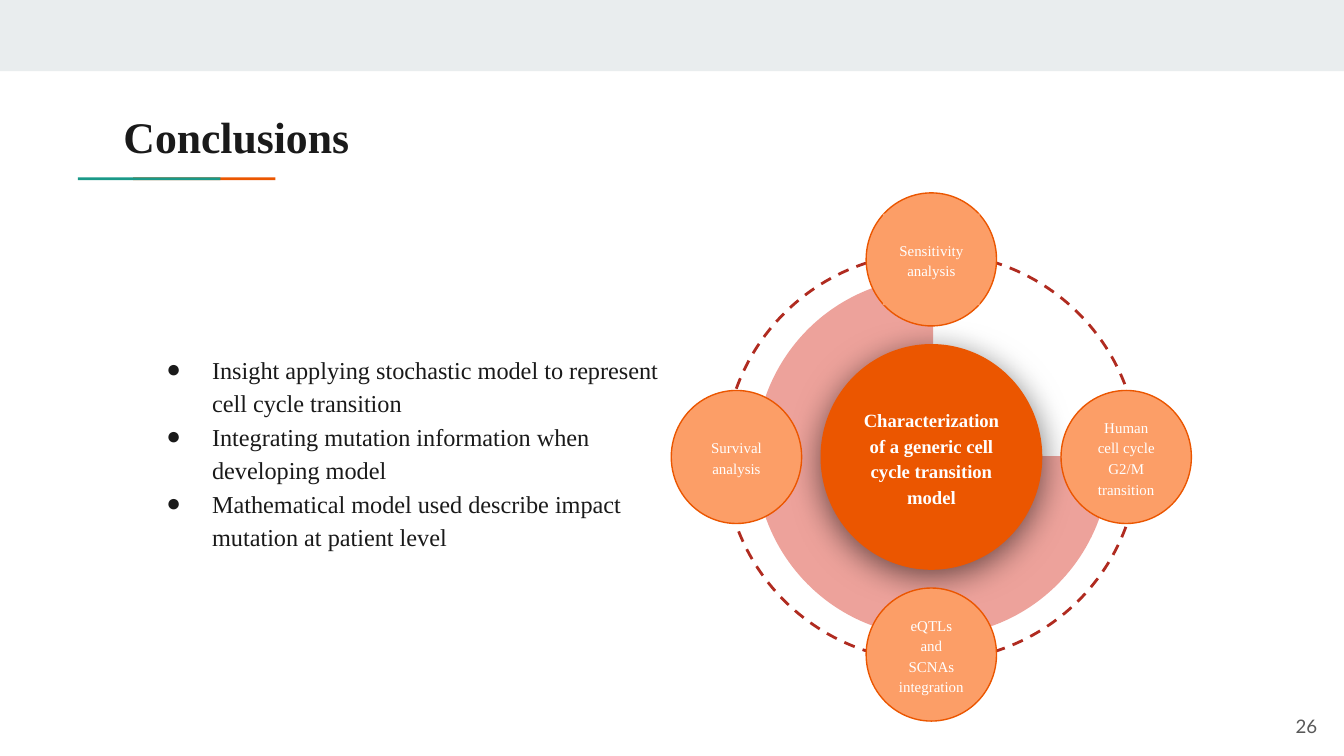
from lxml import etree
from pptx import Presentation
from pptx.dml.color import RGBColor
from pptx.enum.dml import MSO_LINE
from pptx.enum.shapes import MSO_SHAPE
from pptx.enum.text import MSO_ANCHOR, PP_ALIGN
from pptx.oxml import parse_xml
from pptx.oxml.ns import nsdecls, qn
from pptx.util import Inches, Pt

SERIF = "Times New Roman"
INK, WHITE, TEAL, ORANGE = "1A1A1A", "FFFFFF", "1A9988", "EB5600"
PEACH, PINK, RED, BAND = "FC9E67", "EDA29B", "B02B20", "E9EDEE"

# Content
TITLE = "Conclusions"
PAGE = "26"
BULLETS = [
    "Insight applying stochastic model to represent cell cycle transition",
    "Integrating mutation information when developing model",
    "Mathematical model used describe impact mutation at patient level",
]
HUB = "Characterization of a generic cell cycle transition model"
# label, horizontal and vertical direction from the hub, label width
NODES = [
    ("Sensitivity analysis", 0, -1, 0.72),
    ("eQTLs and SCNAs integration", 0, 1, 0.69),
    ("Survival analysis", -1, 0, 0.69),
    ("Human cell cycle G2/M transition", 1, 0, 0.69),
]
CX, CY = 6.93, 3.4          # centre of the diagram
REACH_X, REACH_Y = 1.45, 1.47

# 16:9 page
prs = Presentation()
prs.slide_width = Inches(10)
prs.slide_height = Inches(10 * 9 / 16)
s = prs.slides.add_slide(prs.slide_layouts[6])


def rgb(value):
    return RGBColor.from_string(value)


def shape(kind, x, y, w, h, fill=None, line=None, weight=0.75):
    sp = s.shapes.add_shape(kind, Inches(x), Inches(y), Inches(w), Inches(h))
    sp.shadow.inherit = False
    if fill:
        sp.fill.solid()
        sp.fill.fore_color.rgb = rgb(fill)
    else:
        sp.fill.background()
    if line:
        sp.line.color.rgb = rgb(line)
        sp.line.width = Pt(weight)
    else:
        sp.line.fill.background()
    return sp


def centred(kind, cx, cy, w, h, *style):
    return shape(kind, cx - w / 2, cy - h / 2, w, h, *style)


def write(sp, lines, size, color=INK, font=SERIF, bold=False, align=PP_ALIGN.LEFT,
          anchor=MSO_ANCHOR.TOP, spacing=None, bullet=False):
    tf = sp.text_frame
    tf.word_wrap = True
    tf.vertical_anchor = anchor
    tf.margin_left = tf.margin_right = tf.margin_top = tf.margin_bottom = Inches(0.1)
    for i, line in enumerate(lines):
        p = tf.add_paragraph() if i else tf.paragraphs[0]
        p.alignment = align
        if spacing:
            p.line_spacing = spacing
        if bullet:
            add_bullet(p)
        r = p.add_run()
        r.text = line
        r.font.name, r.font.size, r.font.bold = font, Pt(size), bold
        r.font.color.rgb = rgb(color)


def add_bullet(p):
    pPr = p._p.get_or_add_pPr()
    pPr.set("marL", str(Inches(0.5)))
    pPr.set("indent", str(Inches(-0.34)))
    color = etree.SubElement(pPr, qn("a:buClr"))
    etree.SubElement(color, qn("a:srgbClr"), val=INK)
    etree.SubElement(pPr, qn("a:buFont"), typeface=SERIF)
    etree.SubElement(pPr, qn("a:buChar"), char="●")


def textbox(x, y, w, h, lines, size, **style):
    sp = s.shapes.add_textbox(Inches(x), Inches(y), Inches(w), Inches(h))
    write(sp, lines, size, **style)


def add_shadow(sp):
    spPr = sp._element.spPr
    spPr.remove(spPr.find(qn("a:effectLst")))
    spPr.append(parse_xml(
        f'<a:effectLst {nsdecls("a")}><a:outerShdw blurRad="{Pt(18)}" dist="{Pt(4)}" '
        'dir="5400000" algn="bl" rotWithShape="0"><a:srgbClr val="000000">'
        '<a:alpha val="55000"/></a:srgbClr></a:outerShdw></a:effectLst>'))


# Top band, title with two-colour rule, page number
shape(MSO_SHAPE.RECTANGLE, 0, 0, 10, 0.53, BAND)
for x, color in ((0.99, ORANGE), (0.58, TEAL)):
    shape(MSO_SHAPE.RECTANGLE, x, 1.32, 1.06, 0.02, color)
textbox(0.82, 0.72, 2.89, 0.57, [TITLE], 23.4, bold=True)
textbox(9.3, 5.19, 0.6, 0.43, [PAGE], 10, color="595959", font="Lato",
        align=PP_ALIGN.RIGHT, anchor=MSO_ANCHOR.MIDDLE)

# Dashed ring and three-quarter pie
ring = centred(MSO_SHAPE.OVAL, CX, CY, 3.04, 3.08, None, RED, 1.5)
ring.rotation = 270
ring.line.dash_style = MSO_LINE.DASH
pie = centred(MSO_SHAPE.PIE, CX + 0.01, CY, 2.64, 2.67, PINK)
pie.adjustments[0], pie.adjustments[1] = 215.77, 162.15

# Hub
label = dict(color=WHITE, align=PP_ALIGN.CENTER, anchor=MSO_ANCHOR.MIDDLE, spacing=1.15)
add_shadow(centred(MSO_SHAPE.OVAL, CX, CY, 1.65, 1.68, ORANGE))
write(centred(MSO_SHAPE.RECTANGLE, CX, CY, 1.22, 0.76, ORANGE), [HUB], 10, bold=True, **label)

# Nodes around the hub
for text, dx, dy, width in NODES:
    x, y = CX + dx * REACH_X, CY + dy * REACH_Y
    centred(MSO_SHAPE.OVAL, x, y, 0.97, 0.99, PEACH, ORANGE)
    write(centred(MSO_SHAPE.RECTANGLE, x, y, width, 0.68, PEACH), [text], 8, **label)

# Bullets
textbox(0.98, 2.51, 4.02, 1.73, BULLETS, 13, spacing=1.15, bullet=True)

prs.save("out.pptx")
